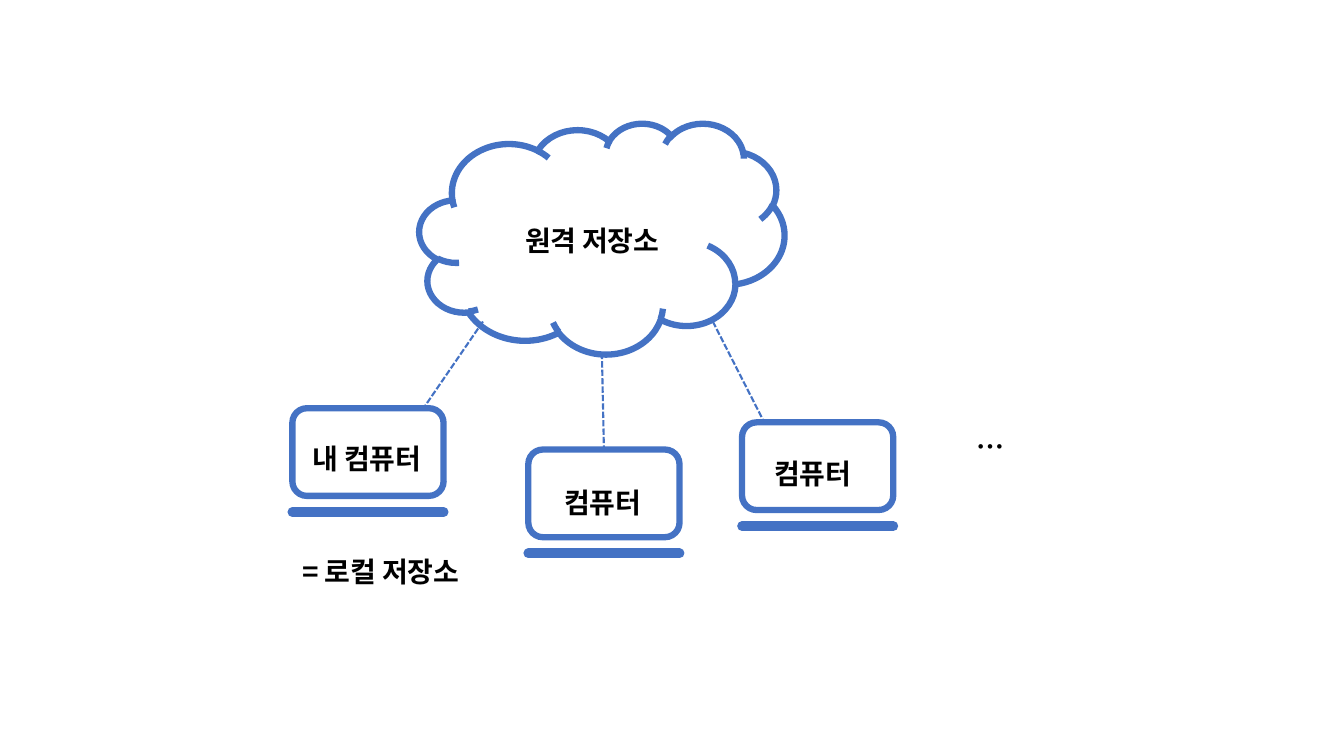
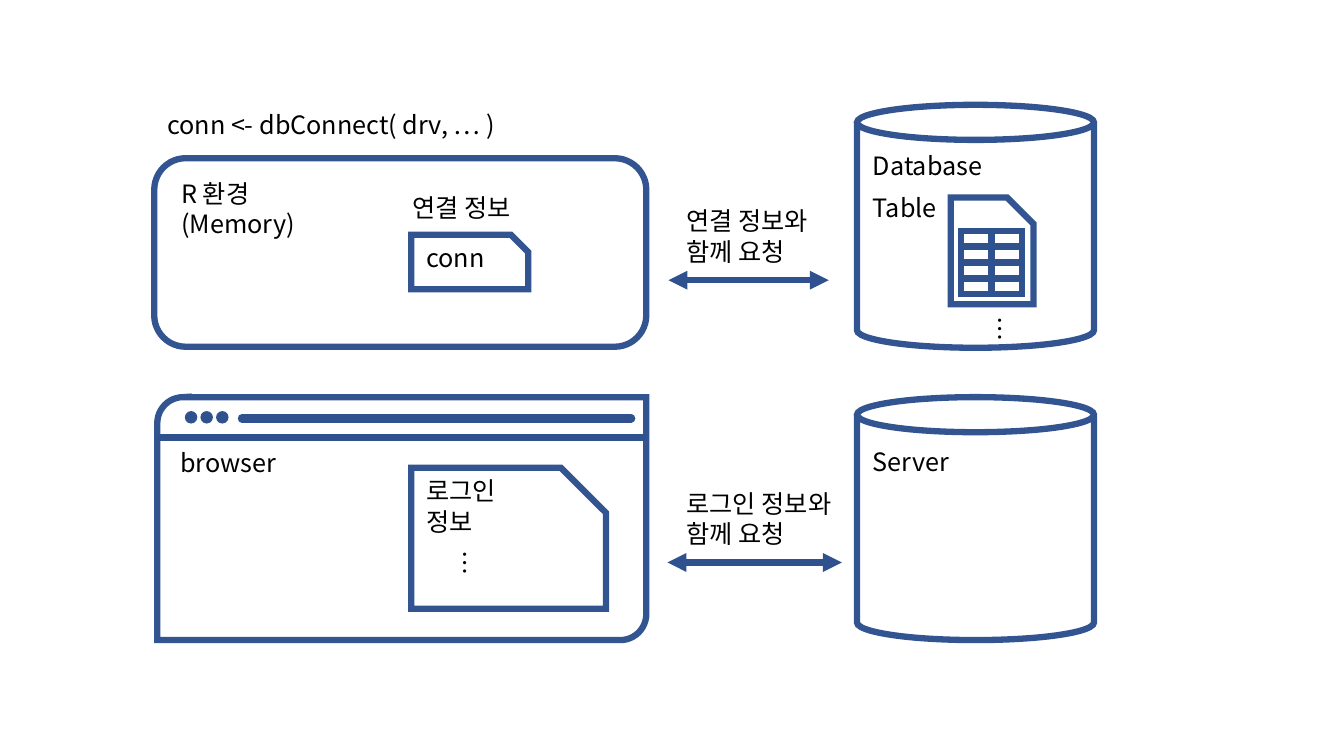
from dataclasses import dataclass
from itertools import product

from lxml.etree import SubElement
from pptx import Presentation
from pptx.dml.color import RGBColor
from pptx.enum.dml import MSO_LINE
from pptx.enum.shapes import MSO_CONNECTOR, MSO_SHAPE as Preset
from pptx.enum.text import MSO_AUTO_SIZE
from pptx.oxml.ns import qn
from pptx.util import Inches, Pt

# Grid: one column and one row are one inch; the slide is 13.33 columns by 7.5 rows.
COLS, ROWS = 13.33, 7.5


@dataclass(frozen=True)
class Theme:
    """Colours, font, type sizes and line weights."""
    font: str = "Noto Sans CJK KR"
    ink: str = "000000"
    sky: str = "4472C4"
    navy: str = "325491"
    rule: str = "2F528F"
    strong: float = 20
    body: float = 18
    outline: float = 4.5
    base: float = 7
    address: float = 6
    dash: float = 1.5
    hair: float = 1


THEME = Theme()

# Slide 1: remote repository and the computers linked to it
CLOUD = (4.16, 1.22, 3.62, 2.29)
LAPTOP_SIZE, BASE_DROP = (1.5, 0.87), 1.03
# laptop corner, label, label offset, link start on the cloud, link end column
LAPTOPS = [
    ((2.9, 4.05), "내 컴퓨터", (0.1, 0.11), (4.79, 3.19), 4.2),
    ((5.24, 4.46), "컴퓨터", (0.26, 0.14), (5.97, 3.5), 5.99),
    ((7.36, 4.19), "컴퓨터", (0.22, 0.12), (7.07, 3.19), 7.58),
]
LABEL_SIZE = (1.42, 0.66)
REPOSITORY_NOTES = [
    ("원격 저장소", (5.11, 2, 1.8, 1), 1.5),
    ("= 로컬 저장소", (2.9, 5.32, 2.16, 0.59), 1.4),
    ("…", (9.59, 4.05, *LABEL_SIZE), 1.5),
]

# Slide 2: a client on the left asks a store on the right, in two bands
TOP, BOTTOM, BAND = 1.04, 3.94, 2.41
CLIENT, RIGHT, CARD, STORE = 1.56, 6.41, 4.08, 8.5
STORE_WIDTH, CAN_LID, SNIP = 2.35, 0.148, 0.319
MEMORY = (1.53, TOP + 0.53, 4.88, 1.87)
CARDS = [(CARD, 2.33, 1.16, 0.54), (CARD, 4.64, 1.93, 1.4)]
PAGE = (9.43, 1.96, 0.82, 1.06)
CELL_START, CELL_STEP, CELL_SIZE = (9.53, 2.29), (0.31, 0.157), (0.3, 0.16)
CELL_ROWS, CELL_COLS = 4, 2
DOT, DOT_STEP, DOT_START = 0.11, 0.155, (1.84, 4.085)
REQUESTS = [((6.63, 2.78), (8.22, 2.78)), ((6.62, 5.58), (8.35, 5.58))]
CAPTIONS = [
    ("conn <- dbConnect( drv, … )", (CLIENT, TOP, 3.6, 0.4)),
    ("R 환경\n(Memory)", (1.7, 1.72, 1.43, 0.78)),
    ("연결 정보", (3.99, 1.86, 1.53, 0.4)),
    ("conn", (4.13, 2.36, 0.98, 0.4)),
    ("연결 정보와\n함께 요청", (6.71, 1.99, 1.73, 0.71)),
    ("Database", (8.56, 1.44, 1.43, 0.4)),
    ("Table", (8.56, 1.86, 1.43, 0.4)),
    ("browser", (1.69, 4.39, 1.43, 0.4)),
    ("로그인\n정보", (4.13, 4.67, 0.98, 0.71)),
    ("로그인 정보와 함께 요청", (6.71, 4.79, 1.67, 0.71)),
    ("Server", (8.56, 4.38, 1.43, 0.4)),
]
MORE = [(9.7, 3.06, 0.44, 0.4), (4.4, 5.38, 0.44, 0.4)]


def grid(*cells):
    """Turn grid units into slide lengths."""
    return [Inches(cell) for cell in cells]


def stroke(item, color, width, join="round"):
    """Give an outline its colour, weight and corner join; return its XML."""
    item.line.color.rgb = RGBColor.from_string(color)
    item.line.width = Pt(width)
    ln = item.element.spPr.find(qn("a:ln"))
    corner = SubElement(ln, qn(f"a:{join}"))
    if join == "miter":
        corner.set("lim", "800000")
    return ln


def outline(shapes, preset, box, color, *, fill=None, width=THEME.outline, adjust=()):
    """Draw a preset shape, hollow unless a fill is given."""
    figure = shapes.add_shape(preset, *grid(*box))
    figure.shadow.inherit = False
    for index, value in enumerate(adjust):
        figure.adjustments[index] = value
    if fill:
        figure.fill.solid()
        figure.fill.fore_color.rgb = RGBColor.from_string(fill)
    else:
        figure.fill.background()
    stroke(figure, color, width, join="miter")


def line(shapes, start, end, color, width, *, dashed=False, rounded=False, arrows=False):
    """Draw a straight line, with optional dashes, round caps or two arrowheads."""
    connector = shapes.add_connector(MSO_CONNECTOR.STRAIGHT, *grid(*start, *end))
    if dashed:
        connector.line.dash_style = MSO_LINE.SQUARE_DOT
    ln = stroke(connector, color, width)
    if rounded:
        ln.set("cap", "rnd")
    if arrows:
        for tip in ("a:headEnd", "a:tailEnd"):
            SubElement(ln, qn(tip)).set("type", "triangle")
    SubElement(connector.element.spPr, qn("a:effectLst"))


def write(shapes, text, box, *, size=THEME.body, bold=False, spacing=None,
          hanging=0, tracking=0, turn=0, grow=True):
    """Write text in a box, one paragraph for each line."""
    caption = shapes.add_textbox(*grid(*box))
    caption.rotation = turn
    frame = caption.text_frame
    frame.word_wrap = True
    if grow:
        frame.auto_size = MSO_AUTO_SIZE.SHAPE_TO_FIT_TEXT
    frame.text = text
    for paragraph in frame.paragraphs:
        if spacing:
            paragraph.line_spacing = spacing
        if hanging:
            props = paragraph._p.get_or_add_pPr()
            props.set("marL", str(Inches(hanging)))
            props.set("indent", str(-Inches(hanging)))
        for run in paragraph.runs:
            font = run.font
            font.name, font.size, font.bold = THEME.font, Pt(size), bold
            font.color.rgb = RGBColor.from_string(THEME.ink)
            props = run._r.get_or_add_rPr()
            SubElement(props, qn("a:ea")).set("typeface", THEME.font)
            if tracking:
                props.set("spc", str(round(tracking * 100)))


def label(shapes, text, box, spacing=1.5):
    """Write a bold label of the repository slide."""
    write(shapes, text, box, size=THEME.strong, bold=True, spacing=spacing,
          hanging=0.25, tracking=-0.2, grow=False)


def laptop(shapes, corner, name, offset):
    """Draw a screen, its base and its label."""
    left, top = corner
    width = LAPTOP_SIZE[0]
    base = top + BASE_DROP
    outline(shapes, Preset.ROUNDED_RECTANGLE, (*corner, *LAPTOP_SIZE), THEME.sky)
    line(shapes, (left, base), (left + width, base), THEME.sky, THEME.base, rounded=True)
    label(shapes, name, (left + offset[0], top + offset[1], *LABEL_SIZE))


def table_page(shapes):
    """Draw a page with a small grid of cells as one group."""
    page = shapes.add_group_shape().shapes
    outline(page, Preset.SNIP_1_RECTANGLE, PAGE, THEME.navy, adjust=[SNIP])
    for row, col in product(range(CELL_ROWS), range(CELL_COLS)):
        left = CELL_START[0] + col * CELL_STEP[0]
        top = CELL_START[1] + row * CELL_STEP[1]
        outline(page, Preset.RECTANGLE, (left, top, *CELL_SIZE), THEME.rule)


def browser(shapes):
    """Draw a browser window with its bar, address line and three dots."""
    outline(shapes, Preset.ROUND_2_DIAG_RECTANGLE,
            (CLIENT, BOTTOM, RIGHT - CLIENT, BAND), THEME.navy, adjust=[0.107, 0])
    bar, address = BOTTOM + 0.4, BOTTOM + 0.21
    line(shapes, (CLIENT, bar), (RIGHT, bar), THEME.rule, THEME.outline)
    line(shapes, (2.4, address), (6.26, address), THEME.rule, THEME.address, rounded=True)
    for index in range(3):
        left = DOT_START[0] + index * DOT_STEP
        outline(shapes, Preset.OVAL, (left, DOT_START[1], DOT, DOT), THEME.navy,
                fill=THEME.rule, width=THEME.hair)


def repository_slide(shapes):
    """Build the remote repository slide."""
    for corner, name, offset, start, end in LAPTOPS:
        line(shapes, start, (end, corner[1]), THEME.sky, THEME.dash, dashed=True)
        laptop(shapes, corner, name, offset)
    outline(shapes, Preset.CLOUD, CLOUD, THEME.sky)
    for note, box, spacing in REPOSITORY_NOTES:
        label(shapes, note, box, spacing)


def connection_slide(shapes):
    """Build the database connection slide."""
    outline(shapes, Preset.ROUNDED_RECTANGLE, MEMORY, THEME.navy)
    browser(shapes)
    for top in (TOP, BOTTOM):
        outline(shapes, Preset.CAN, (STORE, top, STORE_WIDTH, BAND), THEME.navy,
                adjust=[CAN_LID])
    table_page(shapes)
    for card in CARDS:
        outline(shapes, Preset.SNIP_1_RECTANGLE, card, THEME.navy, adjust=[SNIP])
    for start, end in REQUESTS:
        line(shapes, start, end, THEME.rule, THEME.outline, arrows=True)
    for caption, box in CAPTIONS:
        write(shapes, caption, box)
    for box in MORE:
        write(shapes, "…", box, turn=90)


def main():
    """Build and save the presentation."""
    deck = Presentation()
    deck.slide_width, deck.slide_height = grid(COLS, ROWS)
    blank = deck.slide_layouts[6]
    for build in (repository_slide, connection_slide):
        build(deck.slides.add_slide(blank).shapes)
    deck.save("out.pptx")


main()
